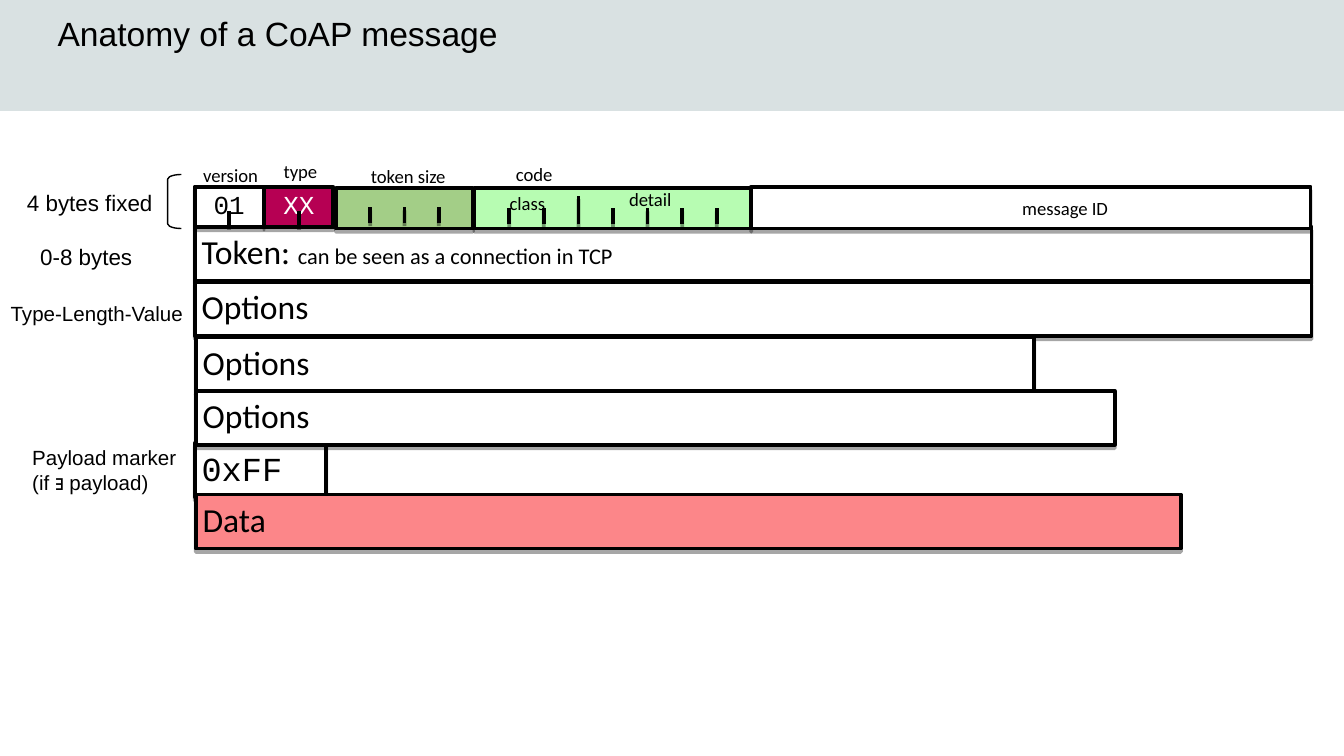
from typing import NamedTuple

from lxml.etree import SubElement
from pptx import Presentation
from pptx.dml.color import RGBColor
from pptx.enum.shapes import MSO_CONNECTOR, MSO_SHAPE
from pptx.enum.text import MSO_ANCHOR, PP_ALIGN
from pptx.oxml.ns import qn
from pptx.util import Cm, Pt

INK = {
    "black": "000000", "white": "FFFFFF", "band": "D9E1E2", "wine": "B60053",
    "olive": "A3CE87", "mint": "B7FCB2", "coral": "FC8689",
}
SANS, BODY, MONO = "Arial", "Calibri", "Courier New"


class Row(NamedTuple):
    left: float
    top: float
    width: float
    text: str
    font: str = BODY
    fill: str = "white"
    extra: str = ""


class Field(NamedTuple):
    left: float
    top: float
    width: float
    height: float
    fill: str
    bits: int = 0
    text: str = ""
    ink: str = "black"
    lift: float = 0
    split: int = 0


class Label(NamedTuple):
    left: float
    top: float
    width: float
    text: str
    size: float = 10
    font: str = BODY


ROWS = [
    Row(3.68, 4.29, 21.11, "Token: ", extra="can be seen as a connection in TCP"),
    Row(3.68, 5.33, 21.11, "Options"),
    Row(3.68, 8.38, 2.49, "0xFF", MONO),
    Row(3.7, 9.35, 18.62, "Data", fill="coral"),
    Row(3.7, 6.38, 15.85, "Options"),
    Row(3.7, 7.39, 17.37, "Options"),
]
FIELDS = [
    Field(3.68, 3.53, 1.3, 0.76, "white", 2, "01"),
    Field(5, 3.53, 1.3, 0.76, "wine", 2, "XX", "white"),
    Field(6.35, 3.56, 2.59, 0.76, "olive", 4, lift=0.1),
    Field(8.97, 3.56, 5.23, 0.76, "mint", 8, lift=0.08, split=3),
    Field(14.2, 3.53, 10.57, 0.79, "white"),
]
LABELS = [
    Label(3.84, 3.1, 1.3, "version"),
    Label(5.36, 3.02, 1, "type"),
    Label(7.01, 3.12, 1.8, "token size"),
    Label(9.75, 3.07, 1, "code"),
    Label(9.63, 3.63, 1, "class"),
    Label(11.89, 3.56, 1.1, "detail"),
    Label(19.32, 3.73, 2.1, "message ID"),
    Label(0.51, 3.58, 2.6, "4 bytes fixed", 12, SANS),
    Label(0.76, 4.6, 2.2, "0-8 bytes", 12, SANS),
    Label(0.2, 5.69, 3.5, "Type-Length-Value", 11, SANS),
    Label(0.61, 8.41, 3, "Payload marker\n(if ∃ payload)", 11, SANS),
]

deck = Presentation()
deck.slide_width, deck.slide_height = Cm(25.4), Cm(14.29)
slide = deck.slides.add_slide(deck.slide_layouts[6])
shapes = slide.shapes


def tint(name: str) -> RGBColor:
    return RGBColor.from_string(INK[name])


def shade(shape, drop: float, alpha: int) -> None:
    """Cast a hard shadow straight down, drop in points, alpha in percent."""
    props = shape._element.spPr
    for old in props.findall(qn("a:effectLst")):
        props.remove(old)
    cast = SubElement(SubElement(props, qn("a:effectLst")), qn("a:outerShdw"),
                      blurRad="0", dist=str(Pt(drop)), dir="5400000", rotWithShape="0")
    color = SubElement(cast, qn("a:srgbClr"), val=INK["black"])
    SubElement(color, qn("a:alpha"), val=str(alpha * 1000))


def write(shape, text: str, *, size: float = 18, font: str = BODY, ink: str = "black",
          align=PP_ALIGN.LEFT, anchor=MSO_ANCHOR.MIDDLE, pad: float = 0,
          space: float = 1, extra: str = "") -> None:
    """Set the text, one paragraph a line; extra follows in a smaller size."""
    frame = shape.text_frame
    frame.word_wrap, frame.vertical_anchor = True, anchor
    frame.margin_left = frame.margin_right = Cm(pad)
    frame.margin_top = frame.margin_bottom = Cm(pad)
    frame.text = text
    if extra:
        frame.paragraphs[-1].add_run().text = extra
    for para in frame.paragraphs:
        para.alignment, para.line_spacing = align, space
        for spot, run in enumerate(para.runs):
            run.font.size = Pt(12 if spot else size)
            run.font.name = font
            run.font.color.rgb = tint(ink)


def block(left: float, top: float, width: float, height: float, fill: str):
    box = shapes.add_shape(MSO_SHAPE.RECTANGLE, Cm(left), Cm(top), Cm(width), Cm(height))
    box.fill.solid()
    box.fill.fore_color.rgb = tint(fill)
    box.line.color.rgb = tint("black")
    box.line.width = Pt(2)
    shade(box, 1.8, 35)
    return box


def tick(x: float, base: float, rise: float):
    line = shapes.add_connector(MSO_CONNECTOR.STRAIGHT, Cm(x), Cm(base), Cm(x), Cm(base - rise))
    line.line.color.rgb = tint("black")
    line.line.width = Pt(2)
    shade(line, 1.6, 38)
    return line


def draw_row(row: Row) -> None:
    box = block(row.left, row.top, row.width, 1.02, row.fill)
    write(box, row.text, font=row.font, pad=0.13, space=0.9, extra=row.extra)


def draw_field(field: Field) -> None:
    """Draw a header field with a tick between each two bits."""
    box = block(field.left, field.top, field.width, field.height, field.fill)
    if field.text:
        write(box, field.text, size=13.9, font=MONO, ink=field.ink,
              align=PP_ALIGN.CENTER, pad=0.13, space=0.8)
    base = field.top + field.height - field.lift
    for bit in range(1, field.bits):
        rise = 0.53 if bit == field.split else 0.3
        line = tick(field.left + field.width * bit / field.bits, base, rise)
        if field.lift == 0 and bit * 2 == field.bits:
            line.begin_connect(box, 2)


def draw_label(label: Label) -> None:
    lines = label.text.count("\n") + 1
    box = shapes.add_textbox(Cm(label.left), Cm(label.top), Cm(label.width), Cm(0.45 * lines))
    write(box, label.text, size=label.size, font=label.font, anchor=MSO_ANCHOR.TOP)


band = shapes.add_shape(MSO_SHAPE.RECTANGLE, 0, 0, deck.slide_width, Cm(2.1))
band.shadow.inherit = False
band.fill.solid()
band.fill.fore_color.rgb = tint("band")
band.line.fill.background()
title = shapes.add_textbox(Cm(1.09), 0, Cm(20.1), Cm(1.24))
write(title, "Anatomy of a CoAP message", font=SANS)

for row in ROWS:
    draw_row(row)
for field in FIELDS:
    draw_field(field)
for label in LABELS:
    draw_label(label)

brace = shapes.add_shape(MSO_SHAPE.LEFT_BRACKET, Cm(3.17), Cm(3.3), Cm(0.26), Cm(1.02))
brace.adjustments[0] = 0.33
brace.shadow.inherit = False
brace.fill.background()
brace.line.color.rgb = tint("black")
brace.line.width = Pt(0)

deck.save("out.pptx")
